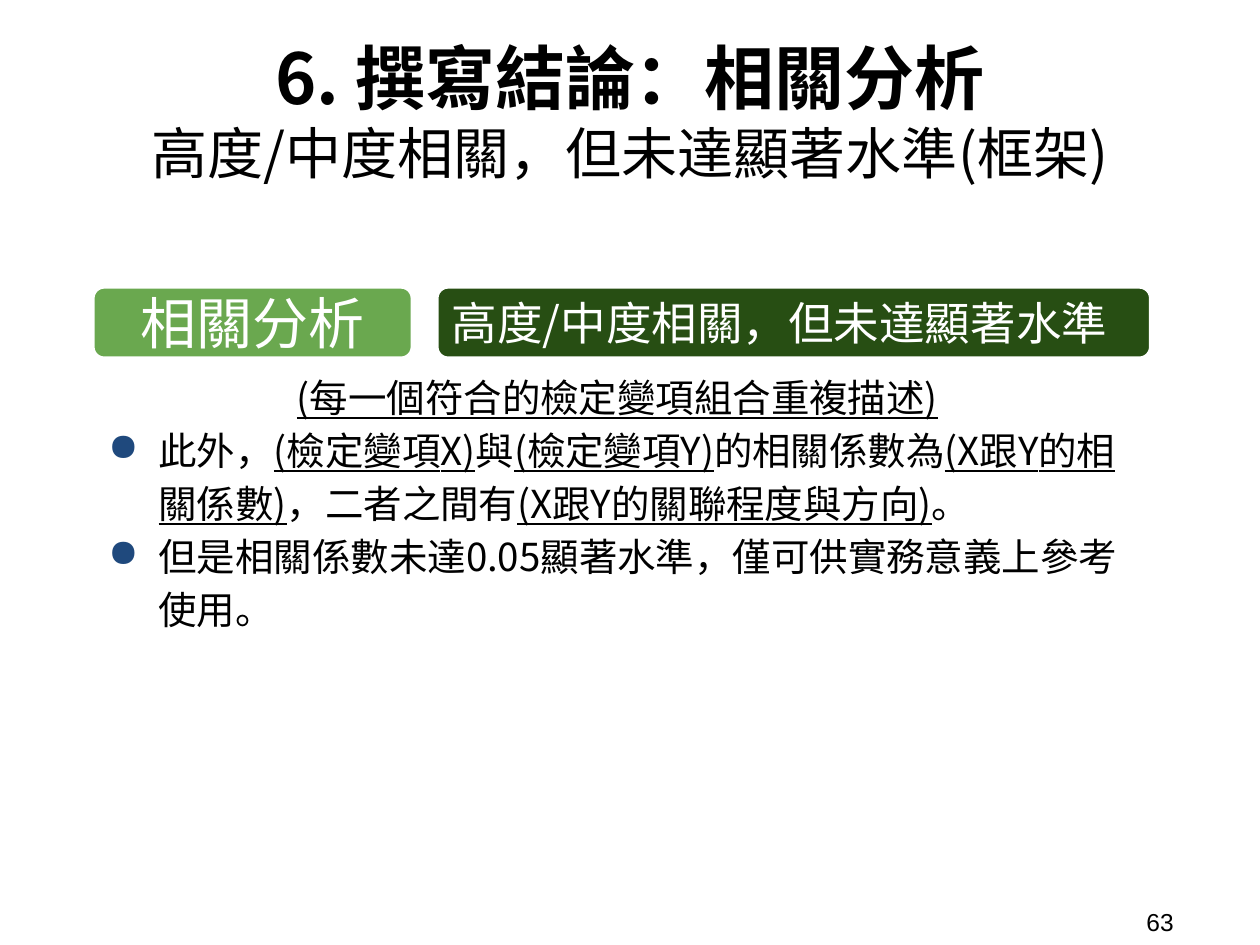
from dataclasses import dataclass

from lxml import etree
from pptx import Presentation
from pptx import util as u
from pptx.dml.color import RGBColor
from pptx.enum import shapes, text
from pptx.oxml import ns


@dataclass(frozen=True)
class Theme:
    black: str = "000000"
    white: str = "FFFFFF"
    light_green: str = "6AA84F"
    dark_green: str = "274E13"
    bullet: str = "1F497D"
    cjk: str = "Noto Sans CJK TC"
    latin: str = "Arial"
    title: int = 40
    subtitle: int = 32
    label: int = 26
    body: int = 22
    number: int = 14


theme = Theme()


def add_text(paragraph, words, size, font=theme.cjk, color=theme.black, bold=False, underline=False):
    run = paragraph.add_run()
    run.text = words
    run.font.size = u.Pt(size)
    run.font.name = font
    run.font.bold = bold
    run.font.underline = underline
    run.font.color.rgb = RGBColor.from_string(color)
    east_asian = etree.SubElement(run._r.get_or_add_rPr(), ns.qn("a:ea"))
    east_asian.set("typeface", font)


def set_frame(frame, anchor, vertical_inset=0.1):
    frame.word_wrap = True
    frame.auto_size = text.MSO_AUTO_SIZE.NONE
    frame.vertical_anchor = anchor
    frame.margin_left = frame.margin_right = u.Inches(0.1)
    frame.margin_top = frame.margin_bottom = u.Inches(vertical_inset)
    return frame.paragraphs[0]


presentation = Presentation()
presentation.slide_width = u.Inches(10)
presentation.slide_height = u.Inches(7.5)
slide = presentation.slides.add_slide(presentation.slide_layouts[5])
middle = text.MSO_ANCHOR.MIDDLE
center, left = text.PP_ALIGN.CENTER, text.PP_ALIGN.LEFT

# Title with a lighter second line
title = slide.shapes.title
title.left, title.top = u.Inches(0.52), u.Inches(0.19)
title.width, title.height = u.Inches(8.96), u.Inches(1.36)
paragraph = set_frame(title.text_frame, middle)
paragraph.alignment = center
add_text(paragraph, "6. 撰寫結論：相關分析", theme.title, bold=True)
paragraph.add_line_break()
line_break = paragraph._p.find(ns.qn("a:br"))
etree.SubElement(line_break, ns.qn("a:rPr")).set("sz", str(theme.title * 100))
add_text(paragraph, "高度/中度相關，但未達顯著水準(框架)", theme.subtitle)

# Green labels
labels = [
    (0.73, 2.55, theme.light_green, "相關分析", theme.subtitle, theme.latin, center),
    (3.46, 5.68, theme.dark_green, "高度/中度相關，但未達顯著水準", theme.label, theme.cjk, left),
]
for x, width, fill, words, size, font, alignment in labels:
    label = slide.shapes.add_shape(shapes.MSO_SHAPE.ROUNDED_RECTANGLE,
                                   u.Inches(x), u.Inches(2.27), u.Inches(width), u.Inches(0.58))
    label.shadow.inherit = False
    label.fill.solid()
    label.fill.fore_color.rgb = RGBColor.from_string(fill)
    label.line.color.rgb = RGBColor.from_string(theme.white)
    label.line.width = u.Pt(3)
    paragraph = set_frame(label.text_frame, middle)
    paragraph.alignment = alignment
    add_text(paragraph, words, size, font=font, color=theme.white)

# Conclusion template: underlined pieces are blanks to fill in
body = slide.shapes.add_textbox(u.Inches(0.66), u.Inches(2.81), u.Inches(8.48), u.Inches(1.41))
paragraph = set_frame(body.text_frame, text.MSO_ANCHOR.TOP)
paragraph.alignment = center
paragraph.line_spacing = 1.15
add_text(paragraph, "(每一個符合的檢定變項組合重複描述)", theme.body, underline=True)

bullets = [
    [("此外，", False), ("(檢定變項X)", True), ("與", False), ("(檢定變項Y)", True),
     ("的相關係數為", False), ("(X跟Y的相關係數)", True), ("，二者之間有", False),
     ("(X跟Y的關聯程度與方向)", True), ("。", False)],
    [("但是相關係數未達0.05顯著水準，僅可供實務意義上參考使用。", False)],
]
for pieces in bullets:
    paragraph = body.text_frame.add_paragraph()
    properties = paragraph._p.get_or_add_pPr()
    properties.set("marL", str(u.Inches(0.5)))
    properties.set("indent", str(u.Inches(-0.4)))
    bullet_color = etree.SubElement(properties, ns.qn("a:buClr"))
    etree.SubElement(bullet_color, ns.qn("a:srgbClr")).set("val", theme.bullet)
    etree.SubElement(properties, ns.qn("a:buChar")).set("char", "●")
    paragraph.line_spacing = 1.15
    for words, underline in pieces:
        add_text(paragraph, words, theme.body, underline=underline)

# Slide number
number = slide.shapes.add_textbox(u.Inches(9), u.Inches(7.17), u.Inches(0.92), u.Inches(0.29))
paragraph = set_frame(number.text_frame, middle, vertical_inset=0.05)
add_text(paragraph, "63", theme.number, font=theme.latin)

presentation.save("out.pptx")
